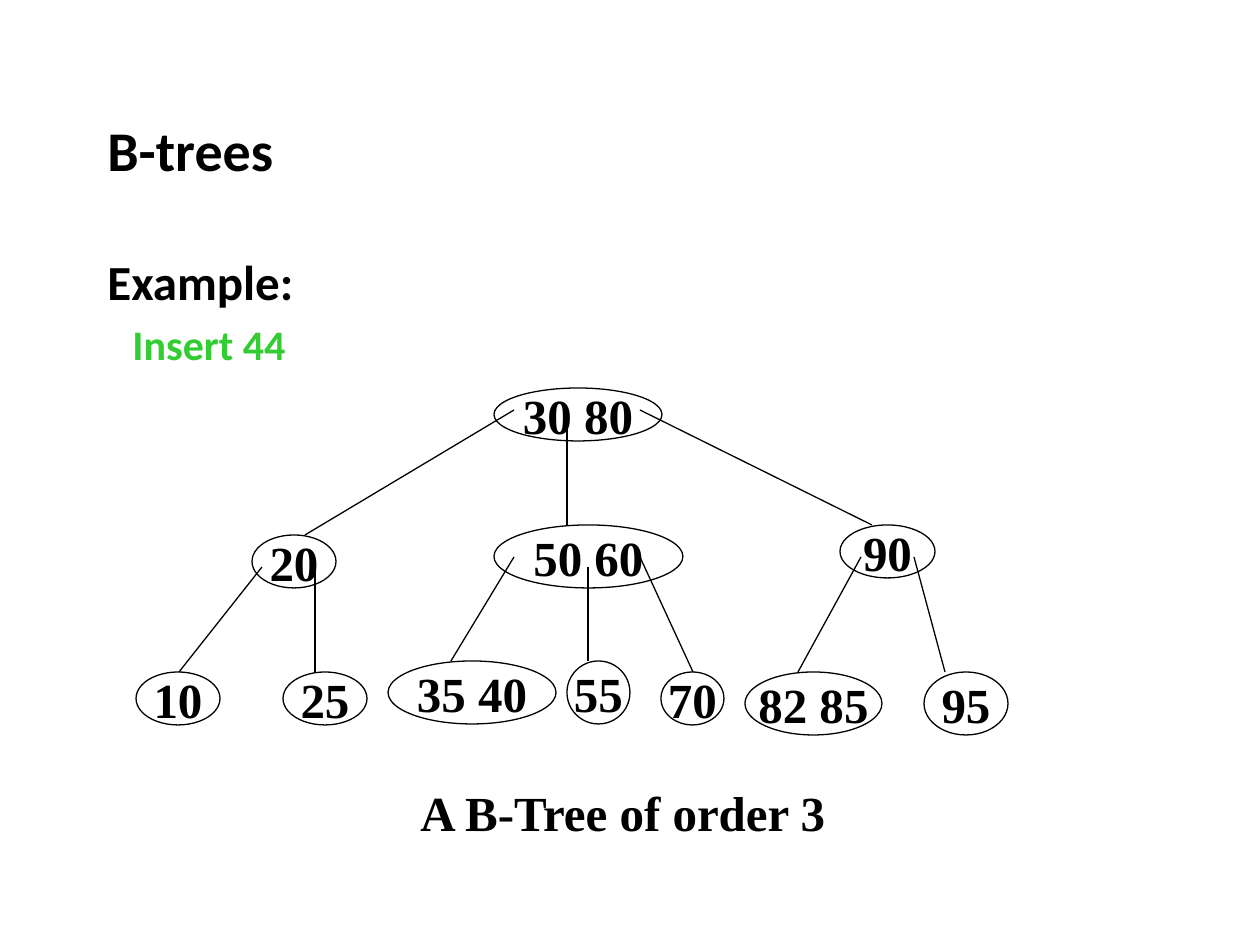
import pptx
import pptx.util
import pptx.dml.color
import pptx.enum.shapes
import pptx.enum.text
import pptx.oxml.ns
from dataclasses import dataclass
from lxml import etree

SCALE = 914400 / 126


@dataclass(frozen=True)
class Theme:
    """Colours, fonts and sizes of the slide."""
    ink: str = "000000"
    accent: str = "33CC33"
    heading_font: str = "Calibri"
    tree_font: str = "Times New Roman"
    title_size: int = 32
    text_size: int = 28
    detail_size: int = 24
    line_width: float = 0.74


THEME = Theme()
ALIGN = pptx.enum.text.PP_ALIGN
ANCHOR = pptx.enum.text.MSO_ANCHOR

NODES = [
    ("30 80", (358, 0, 168, 53)),
    ("20", (116, 147, 84, 53)),
    ("50 60", (358, 137, 189, 63)),
    ("90", (704, 137, 95, 53)),
    ("10", (0, 284, 84, 53)),
    ("25", (147, 284, 84, 53)),
    ("35 40", (252, 273, 168, 63)),
    ("55", (431, 273, 63, 63)),
    ("70", (525, 284, 63, 53)),
    ("82 85", (609, 284, 137, 63)),
    ("95", (788, 284, 84, 63)),
]
EDGES = [
    ("20", (378, 22), 169),
    ("50 60", (431, 32), 431),
    ("90", (504, 22), 736),
    ("10", (126, 179), 43),
    ("25", (179, 179), 179),
    ("35 40", (378, 169), 315),
    ("55", (452, 179), 452),
    ("70", (504, 169), 557),
    ("82 85", (725, 169), 662),
    ("95", (778, 169), 809),
]


def px(*lengths):
    """Turn pixel lengths into EMU."""
    return [pptx.util.Emu(round(n * SCALE)) for n in lengths]


def rgb(value):
    """Return a colour object for a hex value."""
    return pptx.dml.color.RGBColor.from_string(value)


def format_paragraph(p, font, size, color=THEME.ink, before=0, spacing=None, align=ALIGN.LEFT):
    """Format a paragraph and its runs in bold."""
    p.alignment = align
    p.space_before = pptx.util.Pt(before)
    p.line_spacing = spacing
    for r in p.runs:
        r.font.name = font
        r.font.size = pptx.util.Pt(size)
        r.font.bold = True
        r.font.color.rgb = rgb(color)


def add_text(slide, box, text, wrap=True, anchor=ANCHOR.TOP):
    """Add a text box and return its text frame."""
    tf = slide.shapes.add_textbox(*px(*box)).text_frame
    tf.word_wrap = wrap
    tf.vertical_anchor = anchor
    tf.text = text
    return tf


def add_title(slide, box):
    """Add the slide title."""
    tf = add_text(slide, box, "B-trees", anchor=ANCHOR.MIDDLE)
    format_paragraph(tf.paragraphs[0], THEME.heading_font, THEME.title_size, spacing=0.9)


def add_body(slide, box):
    """Add the example heading and its indented operation."""
    tf = add_text(slide, box, "Example:\nInsert 44")
    styles = [(THEME.text_size, THEME.ink, 8), (THEME.detail_size, THEME.accent, 33)]
    for p, (size, color, indent) in zip(tf.paragraphs, styles):
        format_paragraph(p, THEME.heading_font, size, color, before=7.5, spacing=0.9)
        p._p.get_or_add_pPr().set("marL", str(px(indent)[0]))


def add_node(slide, box, text):
    """Add one tree node with its keys."""
    sp = slide.shapes.add_shape(pptx.enum.shapes.MSO_SHAPE.OVAL, *px(*box))
    sp.shadow.inherit = False
    sp.fill.background()
    sp.line.color.rgb = rgb(THEME.ink)
    sp.line.width = pptx.util.Pt(THEME.line_width)
    tf = sp.text_frame
    tf.word_wrap = False
    tf.vertical_anchor = ANCHOR.MIDDLE
    tf.text = text
    format_paragraph(tf.paragraphs[0], THEME.tree_font, THEME.text_size, before=7, align=ALIGN.CENTER)


def add_edge(slide, start, end):
    """Add a straight line between two points."""
    line = slide.shapes.add_connector(pptx.enum.shapes.MSO_CONNECTOR.STRAIGHT, *px(*start, *end))
    line.line.color.rgb = rgb(THEME.ink)
    line.line.width = pptx.util.Pt(THEME.line_width)
    etree.SubElement(line._element.spPr, pptx.oxml.ns.qn("a:effectLst"))


def add_tree(slide, box):
    """Add the nodes and edges of the B-tree."""
    left, top = box[:2]
    for text, (x, y, w, h) in NODES:
        add_node(slide, (left + x, top + y, w, h), text)
    tops = {text: node[1] for text, node in NODES}
    for child, (x, y), end_x in EDGES:
        add_edge(slide, (left + x, top + y), (left + end_x, top + tops[child]))


def add_caption(slide, box):
    """Add the caption under the tree."""
    tf = add_text(slide, box, "A B-Tree of order 3", wrap=False)
    format_paragraph(tf.paragraphs[0], THEME.tree_font, THEME.text_size, before=7)


def main():
    """Build and save the slide."""
    prs = pptx.Presentation()
    prs.slide_width, prs.slide_height = px(1260, 945)
    slide = prs.slides.add_slide(prs.slide_layouts[6])
    add_title(slide, (95, 95, 1071, 116))
    add_body(slide, (87, 252, 1087, 600))
    add_tree(slide, (136, 388, 872, 347))
    add_caption(slide, (408, 776, 438, 72))
    prs.save("out.pptx")


main()
